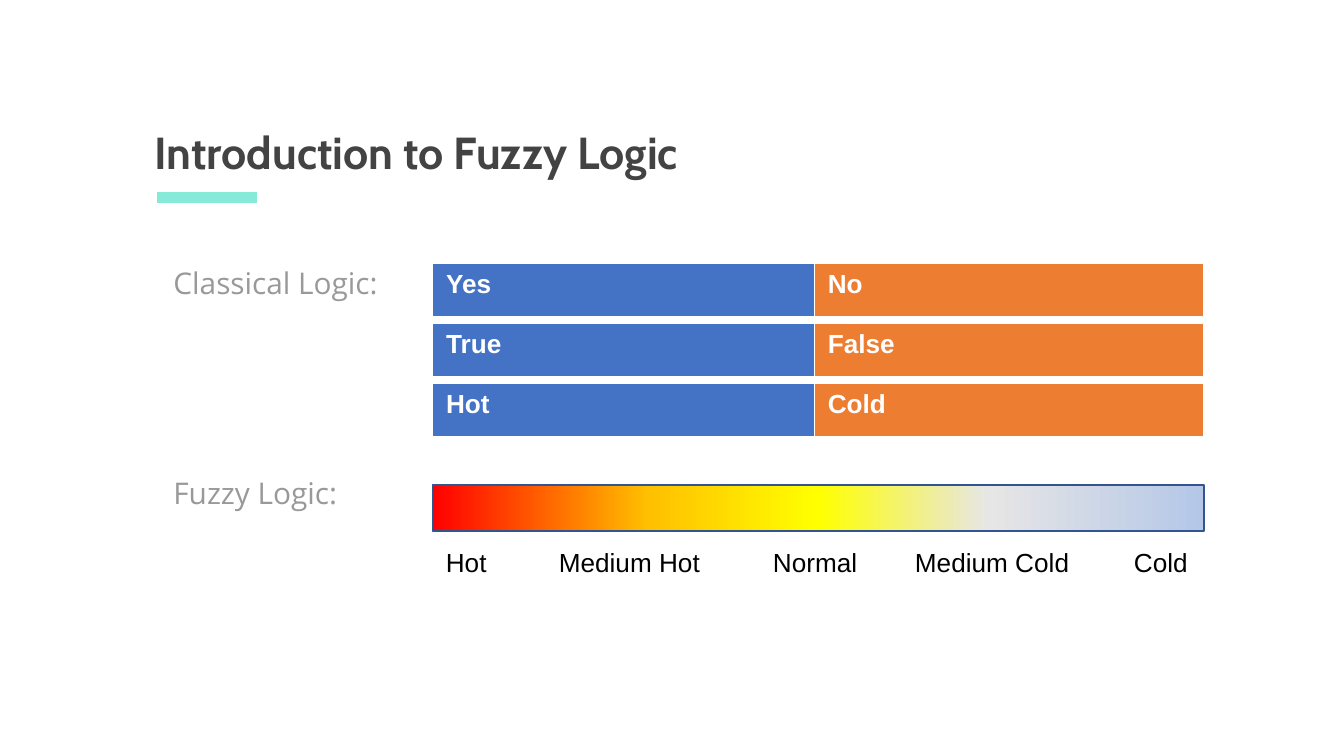
import pptx
import pptx.dml.color
import pptx.enum.shapes
import pptx.enum.text
import pptx.oxml.ns
import pptx.oxml.xmlchemy
import pptx.util
from lxml import etree

Pt = pptx.util.Pt
qn = pptx.oxml.ns.qn
OxmlElement = pptx.oxml.xmlchemy.OxmlElement

COLORS = {
    "title": "434343", "label": "999999", "accent": "87EAD9",
    "yes": "4472C4", "no": "ED7D31", "white": "FFFFFF",
    "scale_line": "325491", "black": "000000",
}
SCALE_STOPS = [(0, "FF0000"), (28, "FFC000"), (50, "FFFF00"), (72, "E7E6E6"), (100, "B4C7E7")]
LEFT, WIDTH = 231.8, 413.3


def rgb(name):
    return pptx.dml.color.RGBColor.from_string(COLORS[name])


def style(paragraph, font_name, size, color, bold=False):
    paragraph.font.name = font_name
    paragraph.font.size = Pt(size)
    paragraph.font.bold = bold
    paragraph.font.color.rgb = rgb(color)
    paragraph.alignment = pptx.enum.text.PP_ALIGN.LEFT


presentation = pptx.Presentation()
presentation.slide_width = Pt(720)
presentation.slide_height = Pt(405)
slide = presentation.slides.add_slide(presentation.slide_layouts[1])

# Title and list placeholders
title = slide.shapes.title
body = slide.placeholders[1]
for placeholder, box in [(title, (75.6, 15.1, 418.3, 87.8)), (body, (74.9, 134.6, 157, 195.1))]:
    placeholder.left, placeholder.top, placeholder.width, placeholder.height = map(Pt, box)
    frame = placeholder.text_frame
    frame.auto_size = pptx.enum.text.MSO_AUTO_SIZE.NONE
    frame.word_wrap = True
    frame.margin_left = frame.margin_right = frame.margin_top = frame.margin_bottom = Pt(7.2)

title.text_frame.text = "Introduction to Fuzzy Logic"
title.text_frame.vertical_anchor = pptx.enum.text.MSO_ANCHOR.BOTTOM
title.text_frame.paragraphs[0].line_spacing = 1.15
style(title.text_frame.paragraphs[0], "Cabin", 24, "title", bold=True)

body.text_frame.text = "Classical Logic:\nFuzzy Logic:"
for paragraph, gap in zip(body.text_frame.paragraphs, (0, 93.4)):
    style(paragraph, "Open Sans", 16, "label")
    paragraph.space_before = Pt(gap)
    properties = paragraph._p.get_or_add_pPr()
    properties.set("marL", str(Pt(10.8)))
    properties.set("indent", "0")
    properties.insert_element_before(OxmlElement("a:buNone"), "a:tabLst", "a:defRPr", "a:extLst")

# Accent line under the title
accent = slide.shapes.add_connector(
    pptx.enum.shapes.MSO_CONNECTOR.STRAIGHT, Pt(84.2), Pt(105.8), Pt(137.5), Pt(105.8))
accent.line.color.rgb = rgb("accent")
accent.line.width = Pt(6)
etree.SubElement(accent._element.spPr, qn("a:effectLst"))

# Classical logic: one two-cell table per pair
for index, pair in enumerate([("Yes", "No"), ("True", "False"), ("Hot", "Cold")]):
    table = slide.shapes.add_table(
        1, 2, Pt(LEFT), Pt(141.1 + 32.05 * index), Pt(WIDTH), Pt(29.5)).table
    for column, width in zip(table.columns, (204.5, 208.8)):
        column.width = Pt(width)
    for cell, text, color in zip(table.iter_cells(), pair, ("yes", "no")):
        cell.text = text
        style(cell.text_frame.paragraphs[0], "Arial", 14, "white", bold=True)
        cell_properties = cell._tc.get_or_add_tcPr()
        for side, border_width in [("L", 1), ("R", 1), ("T", 1), ("B", 3)]:
            border = etree.SubElement(cell_properties, qn(f"a:ln{side}"), w=str(Pt(border_width)))
            border_fill = etree.SubElement(border, qn("a:solidFill"))
            etree.SubElement(border_fill, qn("a:srgbClr"), val=COLORS["white"])
        cell.fill.solid()
        cell.fill.fore_color.rgb = rgb(color)

# Fuzzy logic: gradient scale
scale = slide.shapes.add_shape(
    pptx.enum.shapes.MSO_SHAPE.RECTANGLE, Pt(LEFT), Pt(259.9), Pt(WIDTH), Pt(24.5))
scale.shadow.inherit = False
scale.line.color.rgb = rgb("scale_line")
scale.line.width = Pt(0.85)
scale.fill.gradient()
scale.fill.gradient_angle = 0
stop_list = scale._element.spPr.find(qn("a:gradFill")).find(qn("a:gsLst"))
for stop in list(stop_list):
    stop_list.remove(stop)
for position, color in SCALE_STOPS:
    stop = etree.SubElement(stop_list, qn("a:gs"), pos=str(position * 1000))
    etree.SubElement(stop, qn("a:srgbClr"), val=color)

# Scale labels, spaced by tab stops
labels = slide.shapes.add_textbox(Pt(LEFT), Pt(289.4), Pt(WIDTH), Pt(24.5))
labels.text_frame.word_wrap = True
labels.text_frame.text = "\t".join(["Hot", "Medium Hot", "Normal", "Medium Cold", "Cold"])
paragraph = labels.text_frame.paragraphs[0]
style(paragraph, "Arial", 14, "black")
tab_list = OxmlElement("a:tabLst")
for position in (60.5, 175.2, 251.3, 368.6):
    etree.SubElement(tab_list, qn("a:tab"), pos=str(Pt(position)), algn="l")
paragraph._p.get_or_add_pPr().insert_element_before(tab_list, "a:defRPr", "a:extLst")

presentation.save("out.pptx")
